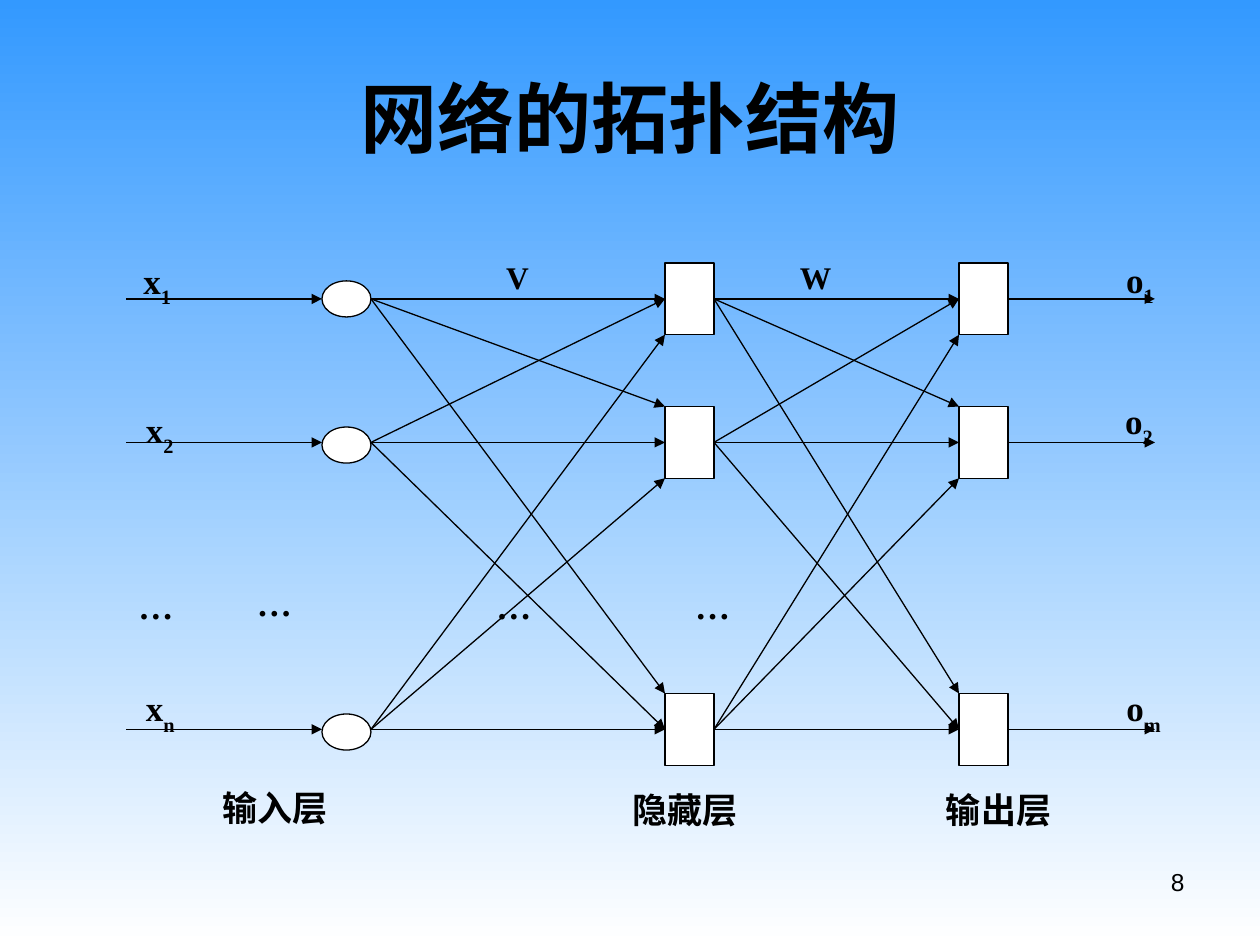
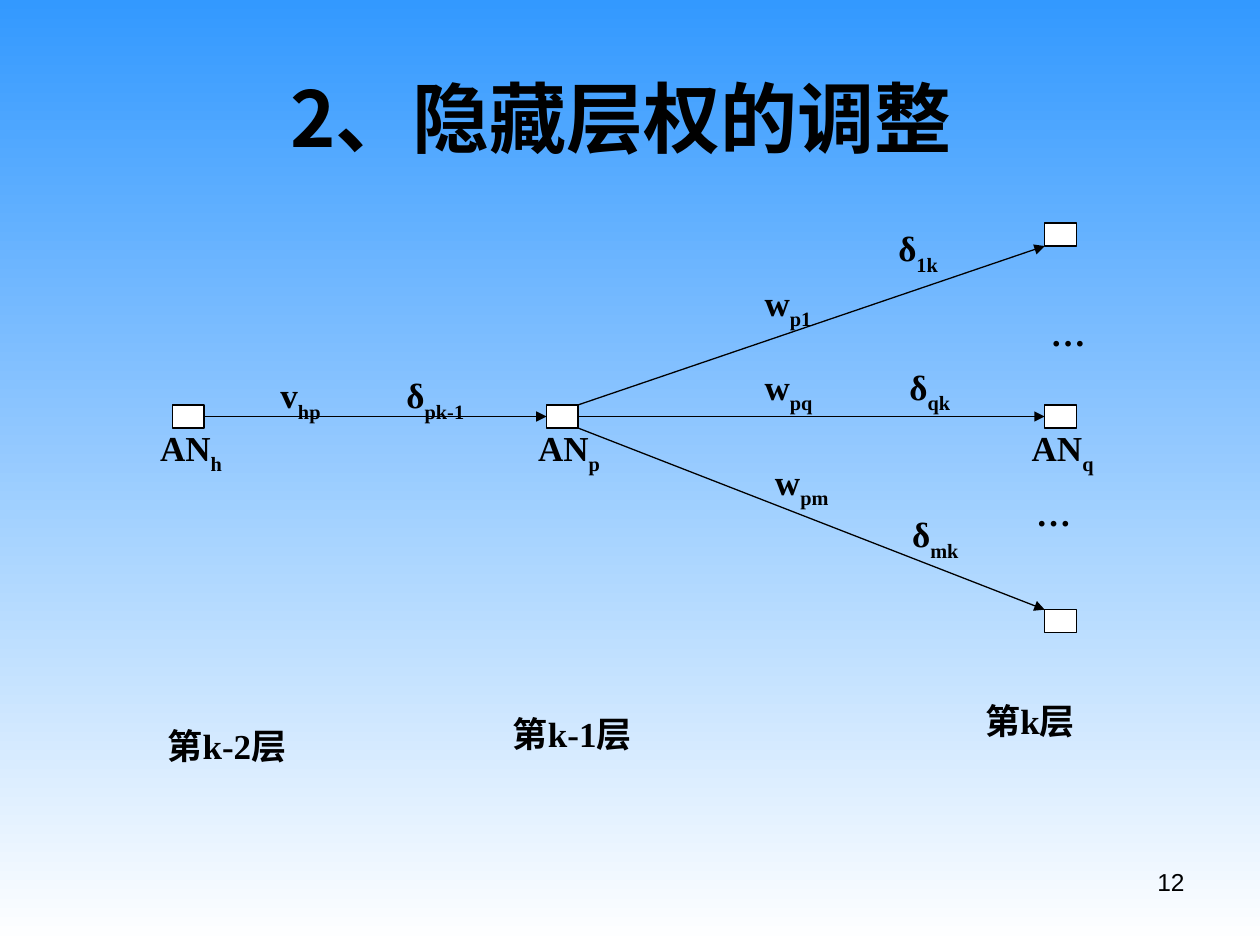
"""Build two slides on the layers of a neural network and its weights."""
from lxml import etree
from pptx import Presentation
from pptx.dml.color import RGBColor
from pptx.enum.shapes import MSO_CONNECTOR, MSO_SHAPE
from pptx.enum.text import MSO_ANCHOR, MSO_AUTO_SIZE, PP_ALIGN
from pptx.oxml.ns import qn
from pptx.util import Pt

LINE, RECT, OVAL = MSO_CONNECTOR.STRAIGHT, MSO_SHAPE.RECTANGLE, MSO_SHAPE.OVAL
LEFT, MID, RIGHT = PP_ALIGN.LEFT, PP_ALIGN.CENTER, PP_ALIGN.RIGHT
TOP, CENTRE = MSO_ANCHOR.TOP, MSO_ANCHOR.MIDDLE
FIXED = MSO_AUTO_SIZE.NONE
BLACK = RGBColor(0, 0, 0)
WHITE = RGBColor(255, 255, 255)
SKY = RGBColor(0x33, 0x99, 0xFF)
SERIF, HAN, SANS = "Times New Roman", "Noto Sans CJK SC", "Arial"
SLACK, TAB = 8, 72

NET_TITLE = "网络的拓扑结构"
NET_LABELS = [
    (74.9, 144.7, 30.2, ("x", "1")),
    (76.3, 229.7, 30.2, ("x", "2")),
    (76.3, 388.8, 31, ("x", "n")),
    (636.5, 144, 30.2, ("o", "1")),
    (635.8, 224.6, 30.2, ("o", "2")),
    (636.5, 388.8, 33.8, ("o", "m")),
    (120.2, 445.7, 74.2, ("输入层",)),
    (354.2, 447.1, 74.2, ("隐藏层",)),
    (533.5, 447.1, 74.2, ("输出层",)),
    (72, 330.5, 34.6, ("…",)),
    (139.7, 329, 34.6, ("…",)),
    (276.5, 330.5, 34.6, ("…",)),
    (390.2, 330.5, 34.6, ("…",)),
]
WEIGHTS = [(282.2, "V"), (450, "W")]
ROWS = [170.8 + 82 * step for step in (0, 1, 3)]
DROPS = (0, 1.5, 1.5)
IN_X, HID_X, OUT_X = 184, 380, 548
START, END = 72, 660
CELL_W, CELL_H, OVAL_H = 28, 41, 20.6

ADJ_TITLE = "2、隐藏层权的调整 "
ADJ_LABELS = [
    (84.4, 240, 49.7, ("AN", "h")),
    (300.4, 240, 49.7, ("AN", "p")),
    (582.5, 240, 49.7, ("AN", "q")),
    (153.2, 210, 119.5, ("v", "hp\t", "δ", "pk-1")),
    (506.2, 126, 36.7, ("δ", "1k")),
    (512.6, 205.2, 37.4, ("δ", "qk")),
    (514.1, 289.4, 41, ("δ", "mk")),
    (429.8, 157.2, 41, ("w", "p1")),
    (429.8, 205.2, 41.8, ("w", "pq")),
    (435.8, 259.4, 44.6, ("w", "pm")),
    (88.6, 410.4, 91.4, ("第k-2层",)),
    (286, 403.4, 91.4, ("第k-1层",)),
    (556, 396, 74.9, ("第k层",)),
    (593.3, 174.2, 34.6, ("…",)),
    (585, 277.2, 34.6, ("…",)),
]
AXIS = 238
FAN = [(-1, 134), (0, AXIS), (1, 355)]
H_X, P_X, Q_X = 98.6, 312.3, 597
UNIT_W, UNIT_H = 18, 13.2


def label(slide, x, y, w, h, parts, size=20, font=SERIF, bold=True,
          align=LEFT, anchor=TOP):
    """Add a text box whose every second part is a subscript."""
    frame = slide.shapes.add_textbox(Pt(x), Pt(y), Pt(w), Pt(h)).text_frame
    frame.word_wrap, frame.auto_size = True, FIXED
    frame.vertical_anchor = anchor
    para = frame.paragraphs[0]
    para.alignment = align
    if any("\t" in part for part in parts):
        tabs = etree.SubElement(para._p.get_or_add_pPr(), qn("a:tabLst"))
        etree.SubElement(tabs, qn("a:tab"), pos=str(Pt(TAB)), algn="l")
    for pos, part in enumerate(parts):
        run = para.add_run()
        run.text = part
        run.font.size, run.font.bold = Pt(size), bold
        run.font.color.rgb = BLACK
        run.font.name = font
        props = run._r.get_or_add_rPr()
        etree.SubElement(props, qn("a:ea")).set("typeface", HAN)
        if pos % 2:
            props.set("baseline", "-30000")


def write(slide, labels):
    """Add the labels, each with room to stay on one line."""
    for x, y, w, parts in labels:
        height = 36 if len(parts) > 1 else 31.7
        label(slide, x, y, w + SLACK, height, parts)


def node(slide, kind, x, mid, w, h):
    """Add a white shape centred on the height mid."""
    shape = slide.shapes.add_shape(kind, Pt(x), Pt(mid - h / 2), Pt(w), Pt(h))
    shape.shadow.inherit = False
    shape.fill.solid()
    shape.fill.fore_color.rgb = WHITE
    shape.line.color.rgb = BLACK
    shape.line.width = Pt(0.75)
    return shape


def arrow(slide, x1, y1, x2, y2, tail=None, head=None):
    """Add an arrow, joined to the boxes tail and head where given."""
    link = slide.shapes.add_connector(LINE, Pt(x1), Pt(y1), Pt(x2), Pt(y2))
    link.line.color.rgb = BLACK
    link.line.width = Pt(0.75)
    tip = etree.SubElement(link.line._get_or_add_ln(), qn("a:tailEnd"))
    tip.set("type", "triangle")
    etree.SubElement(link._element.spPr, qn("a:effectLst"))
    if tail is not None:
        link.begin_connect(tail, 3)
    if head is not None:
        link.end_connect(head, 1)


def page(deck, title, font, number):
    """Add a slide with the shared background, title and number."""
    slide = deck.slides.add_slide(deck.slide_layouts[6])
    fill = slide.background.fill
    fill.gradient()
    fill.gradient_angle = 270
    for stop, colour in zip(fill.gradient_stops, (SKY, WHITE)):
        stop.color.rgb = colour
    label(slide, 36, 21.6, 648, 90, (title,), 44, font, align=MID,
          anchor=CENTRE)
    label(slide, 516, 491.8, 168, 37.4, (number,), 14, SANS, False,
          align=RIGHT)
    return slide


def weave(slide, x1, x2, tails, heads):
    """Link every row at x1 with every box at x2."""
    for i, y1 in enumerate(ROWS):
        for j, y2 in enumerate(ROWS):
            side = 0 if i == 1 else (i > j) - (i < j)
            arrow(slide, x1, y1, x2, y2 + side * CELL_H / 2,
                  tails[i], None if side else heads[j])


def net(deck):
    """Draw the three layers of the network."""
    slide = page(deck, NET_TITLE, SERIF, "8")
    for y, drop in zip(ROWS, DROPS):
        node(slide, OVAL, IN_X, y + drop, CELL_W, OVAL_H)
    hidden, out = [[node(slide, RECT, x, y, CELL_W, CELL_H) for y in ROWS]
                   for x in (HID_X, OUT_X)]
    for y, box in zip(ROWS, out):
        arrow(slide, START, y, IN_X, y)
        arrow(slide, OUT_X + CELL_W, y, END, y, box)
    weave(slide, IN_X + CELL_W, HID_X, [None] * len(ROWS), hidden)
    weave(slide, HID_X + CELL_W, OUT_X, hidden, out)
    write(slide, NET_LABELS)
    for x, name in WEIGHTS:
        label(slide, x, 144, 48.2, 28.8, (name,), 18)


def adjust(deck):
    """Draw how the errors of layer k reach the hidden layer."""
    slide = page(deck, ADJ_TITLE, HAN, "12")
    first, hub = [node(slide, RECT, x, AXIS, UNIT_W, UNIT_H)
                  for x in (H_X, P_X)]
    arrow(slide, H_X + UNIT_W, AXIS, P_X, AXIS, first, hub)
    for side, y in FAN:
        box = node(slide, RECT, Q_X, y, UNIT_W, UNIT_H)
        shift = side * UNIT_H / 2
        ends = (None, None) if side else (hub, box)
        arrow(slide, P_X + UNIT_W, AXIS + shift, Q_X, y - shift, *ends)
    write(slide, ADJ_LABELS)


def main():
    """Build and save the deck."""
    deck = Presentation()
    deck.slide_width, deck.slide_height = Pt(720), Pt(540)
    net(deck)
    adjust(deck)
    deck.save("out.pptx")


if __name__ == "__main__":
    main()
